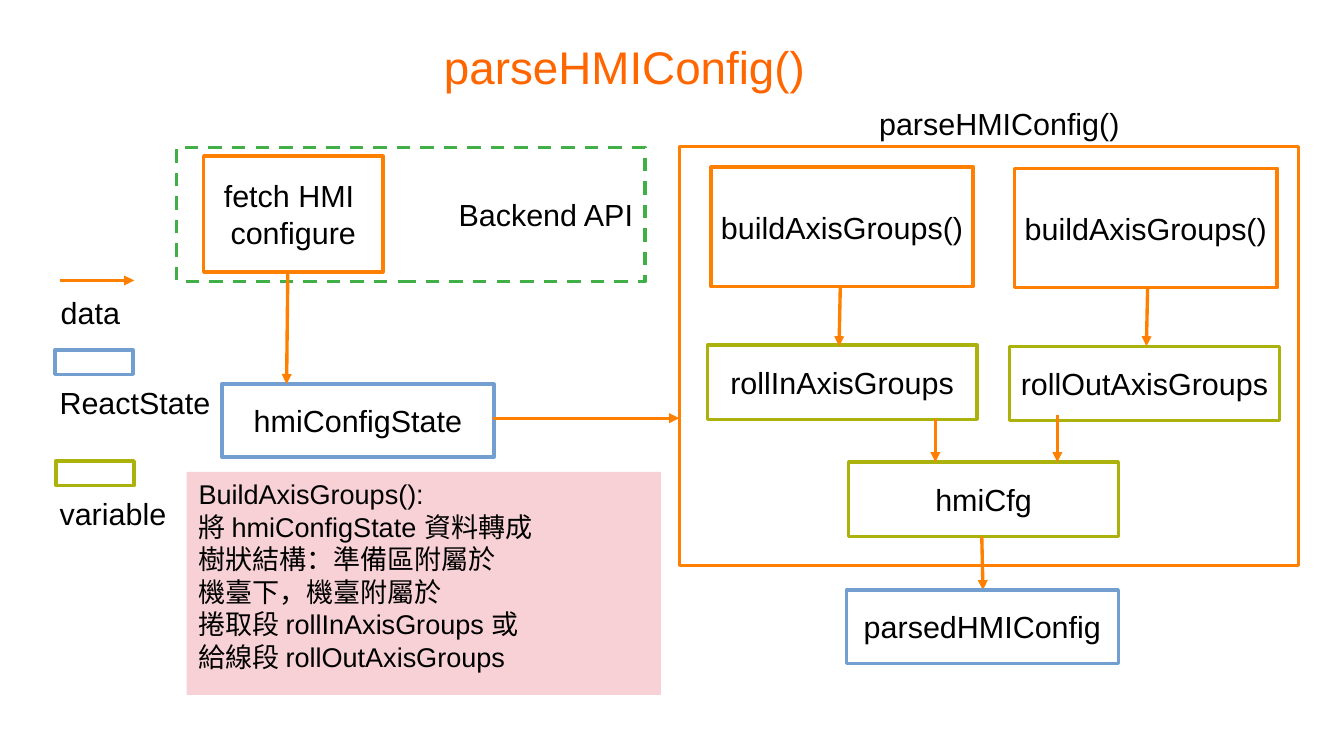
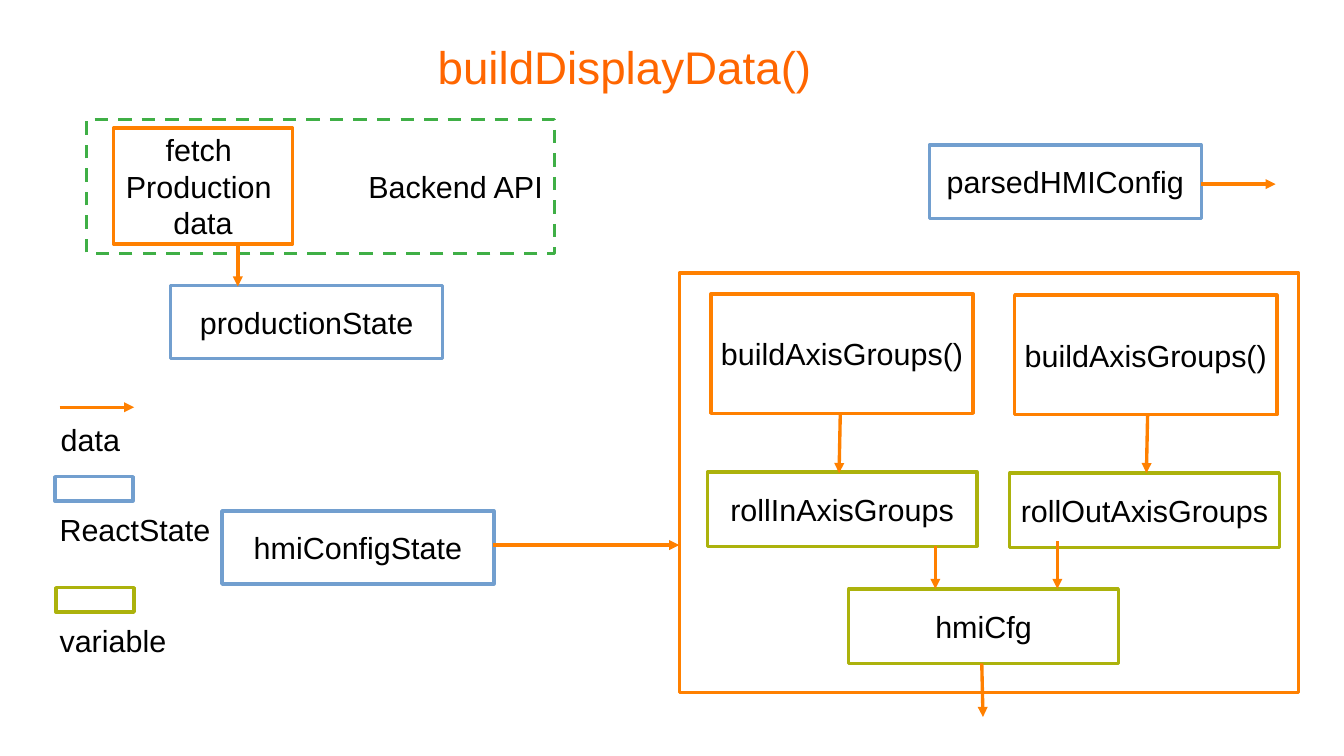
"""Build two data-flow slides for the HMI configuration parser."""
import dataclasses

import pptx
import pptx.dml.color
import pptx.enum.dml
import pptx.enum.shapes
import pptx.enum.text
import pptx.oxml.ns
import pptx.util

Inches = pptx.util.Inches
Pt = pptx.util.Pt
ALIGN = pptx.enum.text.PP_ALIGN
ANCHOR = pptx.enum.text.MSO_ANCHOR


@dataclasses.dataclass(frozen=True)
class Theme:
    font: str = "Arial"
    title: str = "FF6600"
    text: str = "000000"
    paper: str = "FFFFFF"
    step: str = "FF8000"
    state: str = "729FCF"
    variable: str = "ACB20C"
    backend: str = "3FAF46"
    note: str = "F7D1D5"
    title_size: int = 27
    label_size: int = 18
    note_size: int = 16
    line_width: float = 1.98


class Deck:
    """Hold the theme and current slide, and draw each kind of element."""

    def __init__(self, theme):
        self.theme = theme
        self.prs = pptx.Presentation()
        self.prs.slide_width = Inches(11.02)
        self.prs.slide_height = Inches(6.2)
        self.slide = None

    def rgb(self, color):
        return pptx.dml.color.RGBColor.from_string(color)

    def set_text(self, sp, text, size, color, align, anchor, wrap, margins=(0.1, 0.05)):
        tf = sp.text_frame
        tf.text = text
        tf.word_wrap = wrap
        tf.auto_size = pptx.enum.text.MSO_AUTO_SIZE.NONE
        tf.vertical_anchor = anchor
        tf.margin_left = tf.margin_right = Inches(margins[0])
        tf.margin_top = tf.margin_bottom = Inches(margins[1])
        for p in tf.paragraphs:
            p.alignment = align
            for r in p.runs:
                r.font.name = self.theme.font
                r.font.size = Pt(size)
                r.font.color.rgb = self.rgb(color)

    def add_slide(self, title):
        self.slide = self.prs.slides.add_slide(self.prs.slide_layouts[5])
        sp = self.slide.shapes.title
        sp.left, sp.top = Inches(0.59), Inches(0.2)
        sp.width, sp.height = Inches(9.06), Inches(0.69)
        self.set_text(sp, title, self.theme.title_size, self.theme.title,
                      ALIGN.CENTER, ANCHOR.MIDDLE, True, (0, 0))

    def rect(self, x, y, w, h, fill):
        sp = self.slide.shapes.add_shape(
            pptx.enum.shapes.MSO_SHAPE.RECTANGLE,
            Inches(x), Inches(y), Inches(w), Inches(h))
        sp.shadow.inherit = False
        sp.fill.solid()
        sp.fill.fore_color.rgb = self.rgb(fill)
        return sp

    def box(self, x, y, w, h, color, text="", align=ALIGN.CENTER, dashed=False):
        sp = self.rect(x, y, w, h, self.theme.paper)
        sp.line.color.rgb = self.rgb(color)
        sp.line.width = Pt(self.theme.line_width)
        if dashed:
            sp.line.dash_style = pptx.enum.dml.MSO_LINE.DASH
        if text:
            self.set_text(sp, text, self.theme.label_size, self.theme.text,
                          align, ANCHOR.MIDDLE, False)

    def state(self, x, y, text):
        self.box(x, y, 2.23, 0.6, self.theme.state, text)

    def variable(self, x, y, text):
        self.box(x, y, 2.21, 0.61, self.theme.variable, text)

    def label(self, x, y, w, text):
        sp = self.slide.shapes.add_textbox(
            Inches(x), Inches(y), Inches(w), Inches(0.38))
        self.set_text(sp, text, self.theme.label_size, self.theme.text,
                      ALIGN.LEFT, ANCHOR.TOP, True)

    def note(self, x, y, w, h, text):
        sp = self.rect(x, y, w, h, self.theme.note)
        sp.line.fill.background()
        self.set_text(sp, text, self.theme.note_size, self.theme.text,
                      ALIGN.LEFT, ANCHOR.TOP, True)

    def arrow(self, x1, y1, x2, y2):
        cn = self.slide.shapes.add_connector(
            pptx.enum.shapes.MSO_CONNECTOR.STRAIGHT,
            Inches(x1), Inches(y1), Inches(x2), Inches(y2))
        cn.line.color.rgb = self.rgb(self.theme.step)
        cn.line.width = Pt(self.theme.line_width)
        qn = pptx.oxml.ns.qn
        props = cn.element.spPr
        ln = props.find(qn("a:ln"))
        ln.append(ln.makeelement(qn("a:tailEnd"), {"type": "triangle"}))
        props.append(props.makeelement(qn("a:effectLst"), {}))

    def legend(self, y):
        self.arrow(0.49, y, 1.1, y)
        self.label(0.4, y + 0.06, 0.8, "data")
        self.box(0.45, y + 0.57, 0.64, 0.2, self.theme.state)
        self.label(0.39, y + 0.8, 1.5, "ReactState")
        self.box(0.46, y + 1.48, 0.64, 0.2, self.theme.variable)
        self.label(0.39, y + 1.71, 1.5, "variable")

    def backend(self, x, y, text):
        self.box(x, y, 3.84, 1.1, self.theme.backend, "Backend API",
                 ALIGN.RIGHT, True)
        self.box(x + 0.22, y + 0.07, 1.47, 0.95, self.theme.step, text)

    def config_flow(self, y):
        self.box(5.57, y, 5.08, 3.44, self.theme.step)
        branches = ((5.83, 5.8, 6.89, 0, "rollInAxisGroups"),
                    (8.32, 8.28, 9.41, 0.01, "rollOutAxisGroups"))
        for step_x, var_x, arrow_x, dy, name in branches:
            self.box(step_x, y + 0.17 + dy, 2.15, 0.98, self.theme.step,
                     "buildAxisGroups()")
            self.variable(var_x, y + 1.63 + dy, name)
            self.arrow(arrow_x, y + 1.16, arrow_x - 0.01, y + 1.64)
        self.variable(6.96, y + 2.59, "hmiCfg")
        self.arrow(7.67, y + 2.24, 7.67, y + 2.59)
        self.arrow(8.67, y + 2.2, 8.67, y + 2.59)
        self.arrow(8.05, y + 3.2, 8.06, y + 3.64)
        self.state(1.82, y + 1.95, "hmiConfigState")
        self.arrow(4.04, y + 2.23, 5.57, y + 2.23)
        self.legend(y + 1.1)


def parse_slide(deck):
    deck.add_slide("parseHMIConfig()")
    deck.backend(1.45, 1.21, "fetch HMI \nconfigure")
    deck.config_flow(1.2)
    deck.label(7.11, 0.81, 2.3, "parseHMIConfig()")
    deck.arrow(2.36, 2.23, 2.35, 3.15)
    deck.state(6.94, 4.84, "parsedHMIConfig")
    deck.note(1.53, 3.87, 3.89, 1.83, "\n".join((
        "BuildAxisGroups():",
        "將 hmiConfigState 資料轉成",
        "樹狀結構：準備區附屬於",
        "機臺下，機臺附屬於",
        "捲取段 rollInAxisGroups 或",
        "給線段 rollOutAxisGroups")))


def display_slide(deck):
    deck.add_slide("buildDisplayData()")
    deck.backend(0.71, 0.98, "fetch \nProduction \ndata")
    deck.state(1.4, 2.34, "productionState")
    deck.arrow(1.95, 1.99, 1.95, 2.35)
    deck.state(7.62, 1.19, "parsedHMIConfig")
    deck.arrow(9.85, 1.51, 10.46, 1.51)
    deck.config_flow(2.24)


def main():
    deck = Deck(Theme())
    parse_slide(deck)
    display_slide(deck)
    deck.prs.save("out.pptx")


if __name__ == "__main__":
    main()
